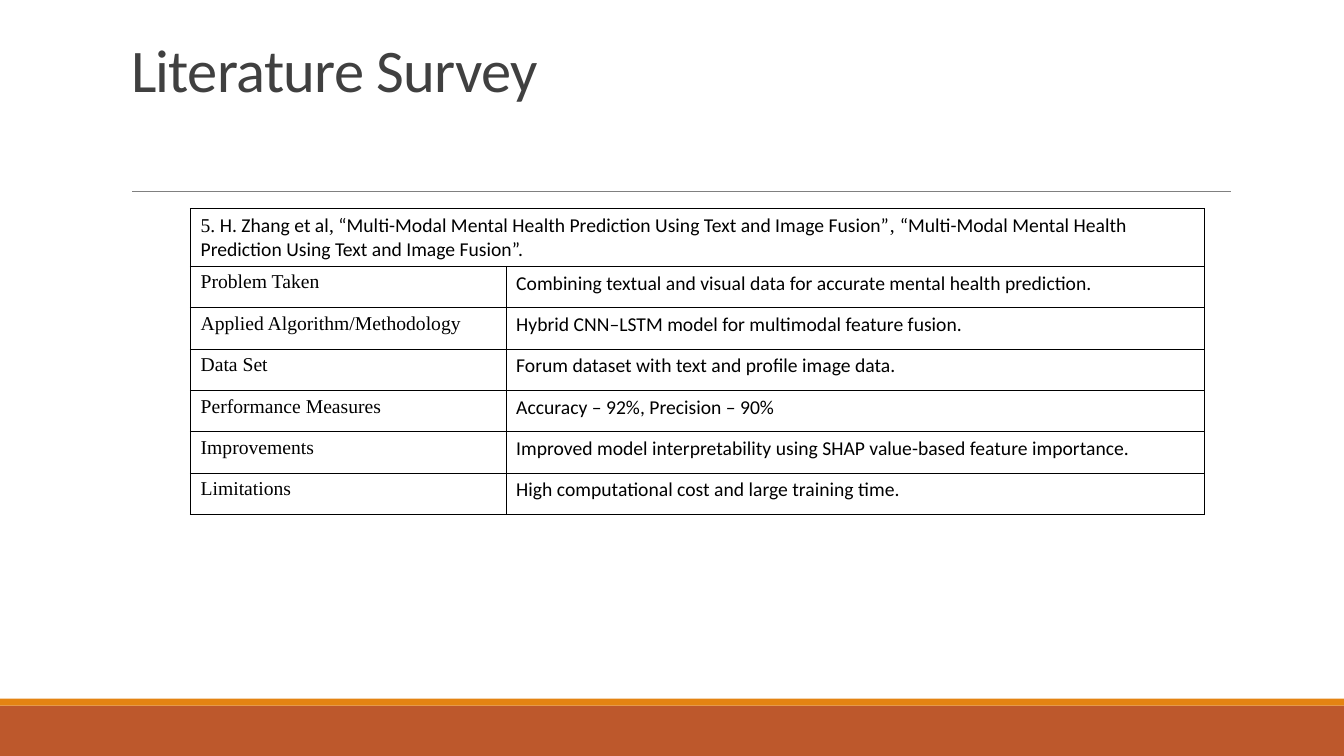
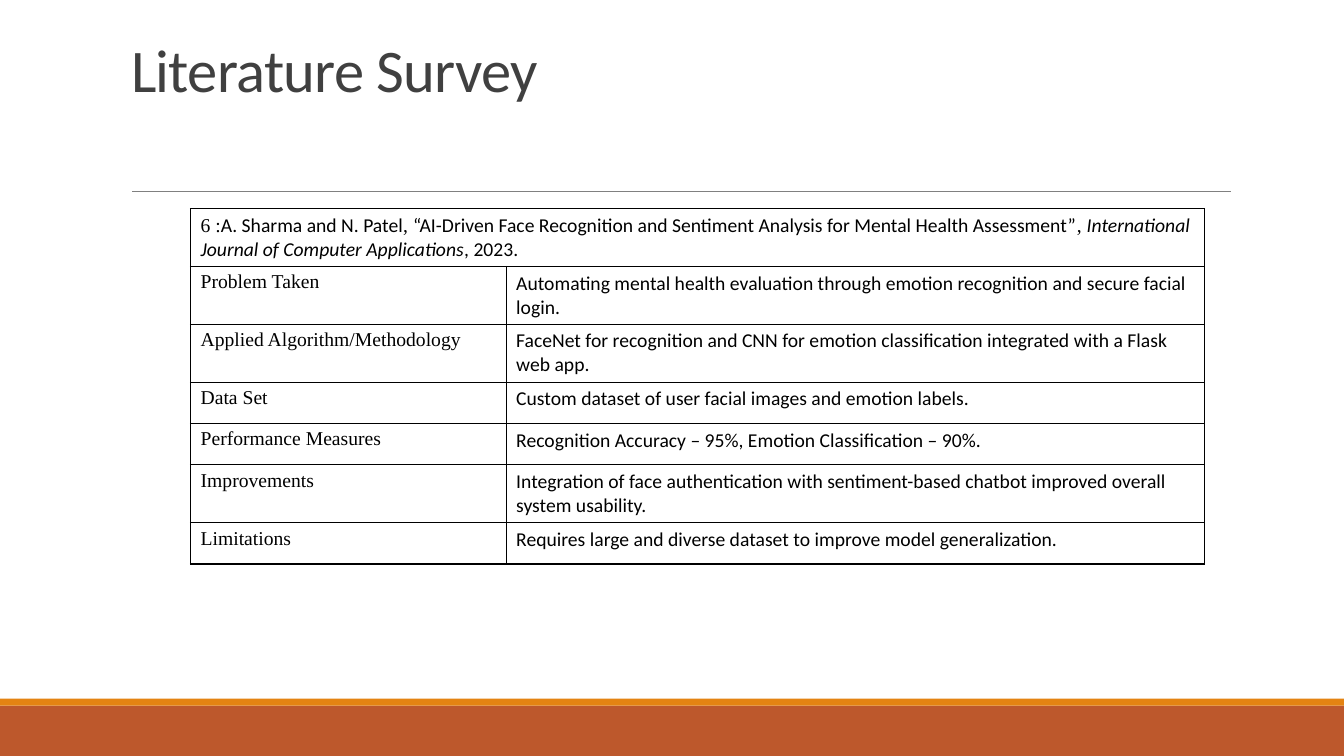
from lxml import etree
from pptx import Presentation, util as u
from pptx.dml.color import RGBColor
from pptx.enum import shapes, text
from pptx.oxml import ns

SANS, SERIF = "Calibri", "Times New Roman"
INK, TITLE_GREY, RULE_GREY = "000000", "404040", "808080"
RUST, ORANGE = "BD582C", "E48312"

ASPECTS = ["Problem Taken", "Applied Algorithm/Methodology", "Data Set",
           "Performance Measures", "Improvements", "Limitations"]

# Each paper: citation as (text, font, italic), then one finding per aspect
PAPERS = [
    ([("5.", SERIF, False),
      (" H. Zhang et al", SANS, False),
      (",", SERIF, False),
      (" “Multi-Modal Mental Health Prediction Using Text and Image Fusion”", SANS, False),
      (", ", SERIF, False),
      ("“Multi-Modal Mental Health Prediction Using Text and Image Fusion”.", SANS, False)],
     ["Combining textual and visual data for accurate mental health prediction.",
      "Hybrid CNN–LSTM model for multimodal feature fusion.",
      "Forum dataset with text and profile image data.",
      "Accuracy – 92%, Precision – 90%",
      "Improved model interpretability using SHAP value-based feature importance.",
      "High computational cost and large training time."]),
    ([("6 :", SERIF, False),
      ("A. Sharma and N. Patel", SANS, False),
      (", ", SERIF, False),
      ("“AI-Driven Face Recognition and Sentiment Analysis for Mental Health Assessment”",
       SANS, False),
      (", ", SERIF, False),
      ("International Journal of Computer Applications", SANS, True),
      (", 2023.", SANS, False)],
     ["Automating mental health evaluation through emotion recognition and secure facial login.",
      "FaceNet for recognition and CNN for emotion classification integrated with a Flask web app.",
      "Custom dataset of user facial images and emotion labels.",
      "Recognition Accuracy – 95%, Emotion Classification – 90%.",
      "Integration of face authentication with sentiment-based chatbot improved overall "
      "system usability.",
      "Requires large and diverse dataset to improve model generalization."]),
]


def color(hex_code):
    return RGBColor.from_string(hex_code)


class Deck:
    """Holds the style and the current slide; lengths are percent of the slide."""

    def __init__(self):
        self.prs = Presentation()
        self.prs.slide_width, self.prs.slide_height = u.Inches(13.33), u.Inches(7.5)
        self.layout = self.prs.slide_layouts.get_by_name("Title Only")
        self.slide = None

    def x(self, share):
        return round(self.prs.slide_width * share / 100)

    def y(self, share):
        return round(self.prs.slide_height * share / 100)

    def box(self, left, top, width, height):
        return self.x(left), self.y(top), self.x(width), self.y(height)

    def new_slide(self):
        first = self.slide is None
        self.slide = self.prs.slides.add_slide(self.layout)
        if first:
            self.shared_frame()

    def shared_frame(self):
        # Bands and title rule live on the layout, so every slide inherits them
        frame = [self.band(93.33, 6.67, RUST), self.band(92.4, 0.93, ORANGE),
                 self.rule(9.83, 91.58, 25.33)]
        for part in frame:
            self.layout.shapes.element.append(part.element)

    def band(self, top, height, fill):
        band = self.slide.shapes.add_shape(shapes.MSO_SHAPE.RECTANGLE,
                                           *self.box(0, top, 100, height))
        band.shadow.inherit = False
        band.fill.solid()
        band.fill.fore_color.rgb = color(fill)
        band.line.fill.background()
        return band

    def rule(self, left, right, top):
        rule = self.slide.shapes.add_connector(
            shapes.MSO_CONNECTOR.STRAIGHT,
            self.x(left), self.y(top), self.x(right), self.y(top))
        rule.line.color.rgb = color(RULE_GREY)
        rule.line.width = u.Pt(0.5)
        etree.SubElement(rule.element.spPr, ns.qn("a:effectLst"))
        return rule

    def format_run(self, run, font, size, ink, italic=False):
        run.font.name, run.font.size = font, u.Pt(size)
        run.font.color.rgb = color(ink)
        run.font.italic = italic

    def title(self, wording):
        title = self.slide.shapes.title
        title.left, title.top, title.width, title.height = self.box(9, 4.13, 82.5, 10.4)
        frame = title.text_frame
        frame.text = wording
        frame.word_wrap = True
        frame.auto_size = text.MSO_AUTO_SIZE.NONE
        frame.vertical_anchor = text.MSO_ANCHOR.BOTTOM
        heading = frame.paragraphs[0]
        heading.alignment = text.PP_ALIGN.LEFT
        heading.line_spacing = 0.85
        run = heading.runs[0]
        self.format_run(run, SANS, 43.2, TITLE_GREY)
        run.font._element.set("spc", "-50")

    def cell(self, cell, runs):
        paragraph = cell.text_frame.paragraphs[0]
        for wording, font, italic in runs:
            run = paragraph.add_run()
            run.text = wording
            self.format_run(run, font, 14, INK, italic)

    def outline(self, cell):
        properties = cell._tc.get_or_add_tcPr()
        for side in "LRTB":
            edge = etree.SubElement(properties, ns.qn(f"a:ln{side}"), w=str(u.Pt(1)))
            fill = etree.SubElement(edge, ns.qn("a:solidFill"))
            etree.SubElement(fill, ns.qn("a:srgbClr"), val=INK)
        cell.fill.background()

    def survey_table(self, citation, findings):
        columns, row_height = (23.48, 51.98), 5.47
        row_count = len(findings) + 1
        table = self.slide.shapes.add_table(
            row_count, len(columns),
            *self.box(14.18, 27.6, sum(columns), row_height * row_count)).table
        table.first_row = table.horz_banding = False
        for column, width in zip(table.columns, columns):
            column.width = self.x(width)
        for cell in table.iter_cells():
            self.outline(cell)

        # Citation across the top, then aspect and finding
        table.cell(0, 0).merge(table.cell(0, 1))
        self.cell(table.cell(0, 0), citation)
        for row, (aspect, finding) in enumerate(zip(ASPECTS, findings), start=1):
            self.cell(table.cell(row, 0), [(aspect, SERIF, False)])
            self.cell(table.cell(row, 1), [(finding, SANS, False)])


def main():
    deck = Deck()
    for citation, findings in PAPERS:
        deck.new_slide()
        deck.title("Literature Survey")
        deck.survey_table(citation, findings)
    deck.prs.save("out.pptx")


if __name__ == "__main__":
    main()
